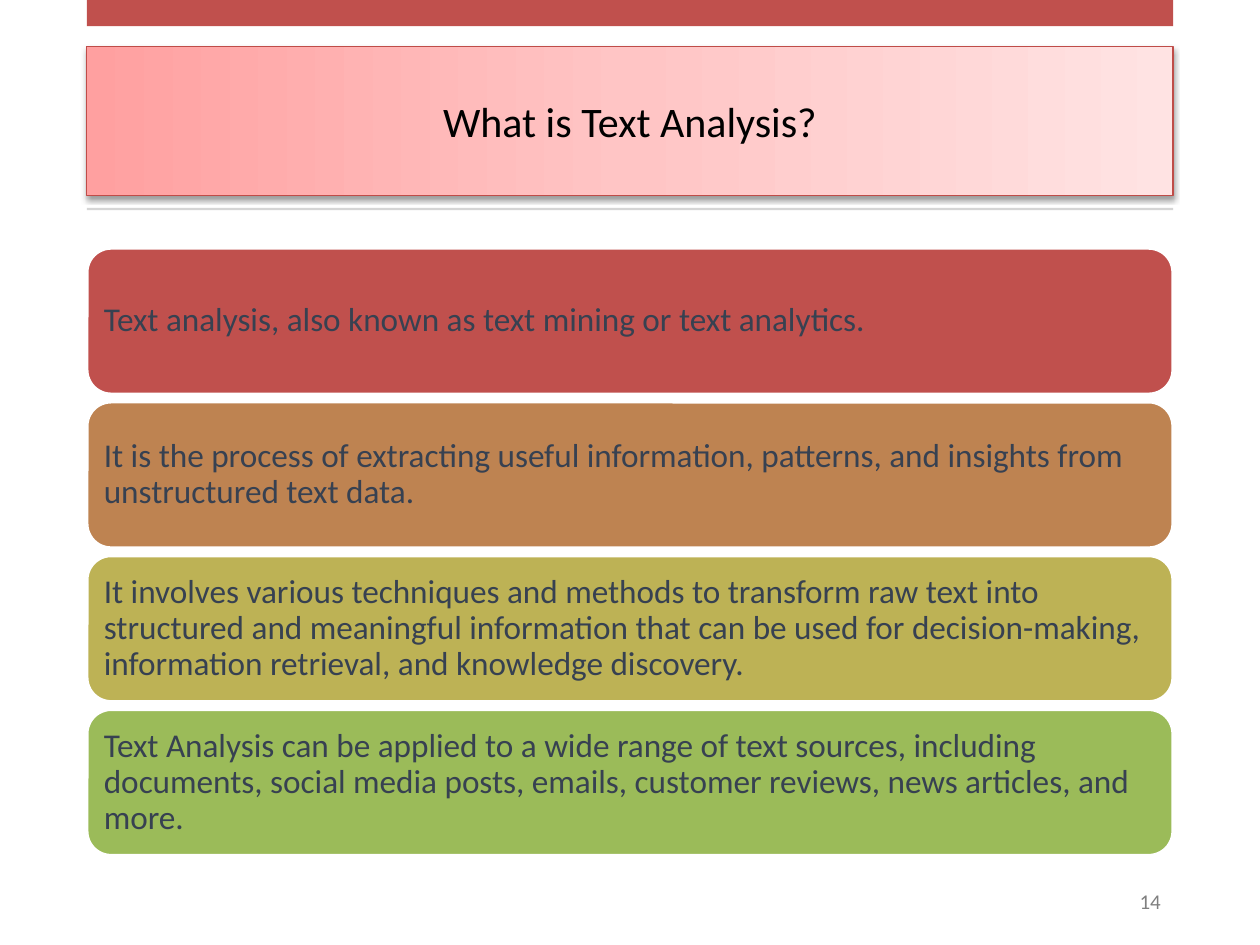
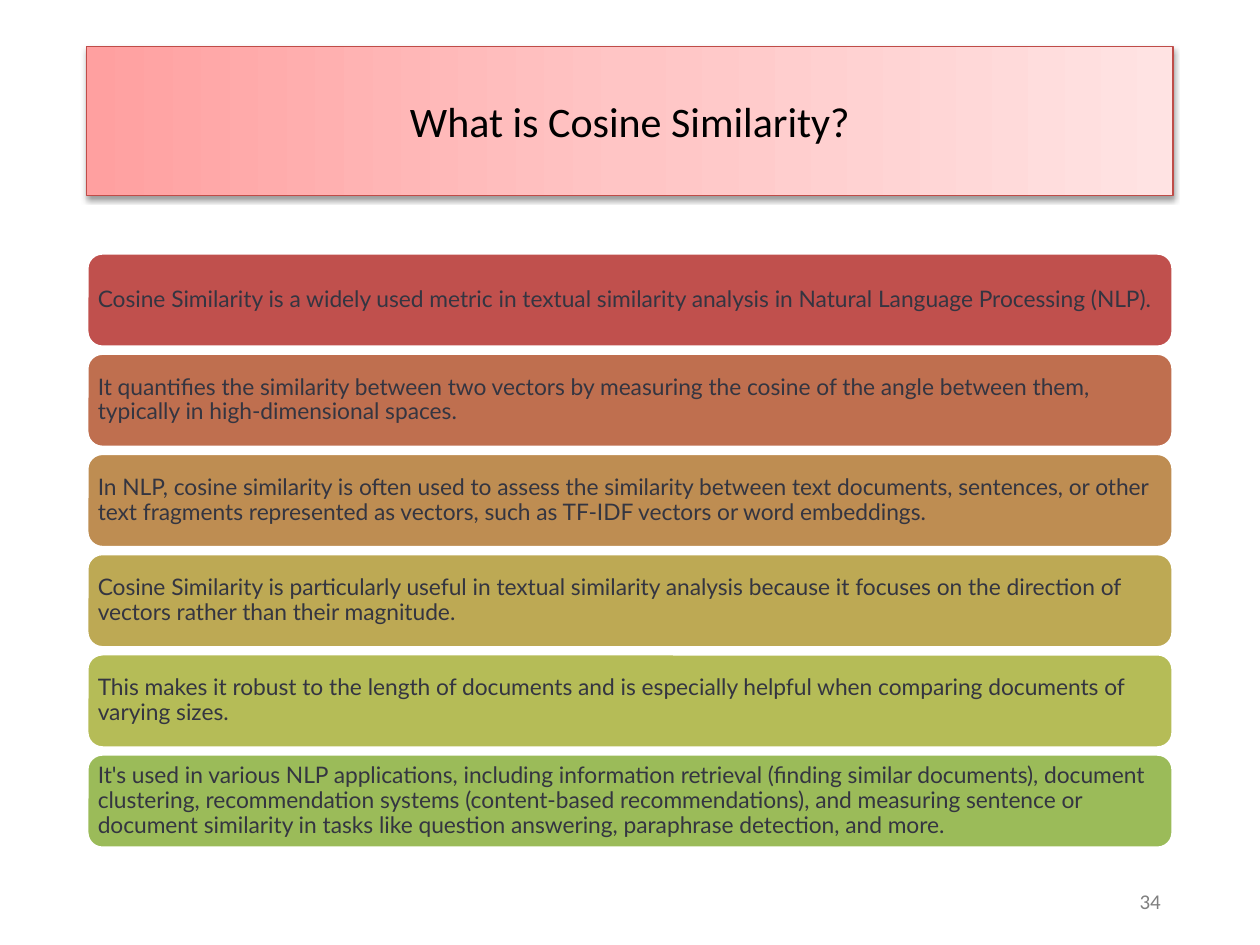
"""Build two slides of stacked, coloured text cards."""
from copy import deepcopy
from dataclasses import dataclass

from lxml import etree
from pptx import Presentation
from pptx.dml.color import RGBColor
from pptx.enum.shapes import MSO_SHAPE
from pptx.enum.text import MSO_ANCHOR, PP_ALIGN
from pptx.oxml.ns import qn
from pptx.util import Cm, Pt

RECT = MSO_SHAPE.RECTANGLE
ROUND = MSO_SHAPE.ROUNDED_RECTANGLE
MIDDLE = MSO_ANCHOR.MIDDLE
LEFT, CENTER, RIGHT = PP_ALIGN.LEFT, PP_ALIGN.CENTER, PP_ALIGN.RIGHT


@dataclass(frozen=True)
class Theme:
    """Colours, fonts and type sizes of the deck."""
    font: str = "Calibri"
    accent: str = "C0504D"
    rule: str = "D5D5D5"
    white: str = "FFFFFF"
    ink: str = "000000"
    muted: str = "808080"
    edge: str = "BF4C48"
    fade: tuple[str, ...] = ("FFA0A0", "FFC5C5", "FFE3E3")
    head: float = 24
    foot: float = 12


@dataclass(frozen=True)
class Box:
    """Place and size in centimetres."""
    x: float
    y: float
    w: float
    h: float

    def args(self) -> tuple[Cm, ...]:
        """Return the four lengths."""
        return Cm(self.x), Cm(self.y), Cm(self.w), Cm(self.h)


@dataclass(frozen=True)
class Type:
    """Look of one run of text."""
    size: float
    color: str
    font: str = Theme.font


@dataclass(frozen=True)
class Card:
    """One coloured card and its text."""
    color: str
    text: str


@dataclass(frozen=True)
class Stack:
    """Spacing and type shared by a column of cards."""
    top: float
    high: float
    step: float
    pad: float
    type: Type


@dataclass(frozen=True)
class Page:
    """Content of one slide."""
    title: str
    number: str
    band: bool
    stack: Stack
    cards: tuple[Card, ...]


THEME = Theme()
X, WIDE = 1.75, 21.9
HEAD = Box(X, 0.94, WIDE, 3)
BAND = Box(X, 0, WIDE, 0.53)
RULE = Box(X, 4.19, WIDE, 0.05)
FOOT = Box(18.16, 17.65, 5.49, 1.02)

PAGES = (
    Page("What is Text Analysis?", "14", True,
         Stack(5, 2.95, 3.1, 0.2, Type(19, "374151")), (
             Card("C0504D", "Text analysis, also known as text mining or text analytics."),
             Card("BE8351", "It is the process of extracting useful information, patterns, "
                  "and insights from unstructured text data."),
             Card("BDB255", "It involves various techniques and methods to transform raw text "
                  "into structured and meaningful information that can be used for "
                  "decision-making, information retrieval, and knowledge discovery."),
             Card("9BBB59", "Text Analysis can be applied to a wide range of text sources, "
                  "including documents, social media posts, emails, customer reviews, "
                  "news articles, and more."),
         )),
    Page("What is Cosine Similarity?", "34", False,
         Stack(5.1, 1.9, 2.02, 0.13, Type(13, "343541", "Lato")), (
             Card("C0504D", "Cosine Similarity is a widely used metric in textual similarity "
                  "analysis in Natural Language Processing (NLP)."),
             Card("BF6F4F", "It quantifies the similarity between two vectors by measuring the "
                  "cosine of the angle between them, typically in high-dimensional spaces."),
             Card("BE8D52", "In NLP, cosine similarity is often used to assess the similarity "
                  "between text documents, sentences, or other text fragments represented as "
                  "vectors, such as TF-IDF vectors or word embeddings."),
             Card("BDA954", "Cosine Similarity is particularly useful in textual similarity "
                  "analysis because it focuses on the direction of vectors rather than their "
                  "magnitude."),
             Card("B5BC57", "This makes it robust to the length of documents and is especially "
                  "helpful when comparing documents of varying sizes."),
             Card("9BBB59", "It's used in various NLP applications, including information "
                  "retrieval (finding similar documents), document clustering, recommendation "
                  "systems (content-based recommendations), and measuring sentence or document "
                  "similarity in tasks like question answering, paraphrase detection, and more."),
         )),
)


def rgb(color: str) -> RGBColor:
    """Return a colour from its hex digits."""
    return RGBColor.from_string(color)


def write(shape, text: str, style: Type, align, space: float = 1) -> None:
    """Put one styled run into a shape."""
    frame = shape.text_frame
    frame.word_wrap = True
    frame.vertical_anchor = MIDDLE
    para = frame.paragraphs[0]
    para.alignment = align
    para.line_spacing = space
    run = para.add_run()
    run.text = text
    run.font.name = style.font
    run.font.size = Pt(style.size)
    run.font.color.rgb = rgb(style.color)


def block(slide, kind, box: Box, color: str):
    """Add a flat filled shape."""
    shape = slide.shapes.add_shape(kind, *box.args())
    shape.shadow.inherit = False
    shape.fill.solid()
    shape.fill.fore_color.rgb = rgb(color)
    shape.line.fill.background()
    return shape


def shade(shape) -> None:
    """Add a soft shadow below a shape."""
    effects = etree.SubElement(shape.element.spPr, qn("a:effectLst"))
    outer = etree.SubElement(effects, qn("a:outerShdw"), blurRad=str(Pt(3.1)),
                             dist=str(Pt(1.6)), dir="5400000", rotWithShape="0")
    color = etree.SubElement(outer, qn("a:srgbClr"), val=THEME.ink)
    etree.SubElement(color, qn("a:alpha"), val="38000")


def header(slide, text: str) -> None:
    """Place and dress the title placeholder."""
    title = slide.shapes.title
    title.left, title.top, title.width, title.height = HEAD.args()
    title.fill.gradient()
    title.fill.gradient_angle = 0
    stops = title.element.spPr.find(".//" + qn("a:gsLst"))
    stops.insert(1, deepcopy(stops[0]))
    for i, (stop, color) in enumerate(zip(title.fill.gradient_stops, THEME.fade)):
        stop.position = i / 2
        stop.color.rgb = rgb(color)
    title.line.color.rgb = rgb(THEME.edge)
    title.line.width = Pt(0.75)
    shade(title)
    write(title, text, Type(THEME.head, THEME.ink), CENTER)


def column(slide, stack: Stack, cards: tuple[Card, ...]) -> None:
    """Draw the cards at an equal step."""
    for i, card in enumerate(cards):
        box = Box(X, stack.top + i * stack.step, WIDE, stack.high)
        shape = block(slide, ROUND, box, card.color)
        shape.line.color.rgb = rgb(THEME.white)
        shape.line.width = Pt(2)
        frame = shape.text_frame
        frame.margin_left = frame.margin_right = Cm(stack.pad)
        frame.margin_top = frame.margin_bottom = Cm(stack.pad)
        write(shape, card.text, stack.type, LEFT, 0.9)


def draw(deck, page: Page) -> None:
    """Build one slide."""
    slide = deck.slides.add_slide(deck.slide_layouts[5])
    header(slide, page.title)
    if page.band:
        block(slide, RECT, BAND, THEME.accent)
        block(slide, RECT, RULE, THEME.rule)
    column(slide, page.stack, page.cards)
    foot = slide.shapes.add_textbox(*FOOT.args())
    write(foot, page.number, Type(THEME.foot, THEME.muted), RIGHT)


def main() -> None:
    """Build and save the deck."""
    deck = Presentation()
    deck.slide_width, deck.slide_height = Cm(25.4), Cm(19.05)
    for page in PAGES:
        draw(deck, page)
    deck.save("out.pptx")


if __name__ == "__main__":
    main()
